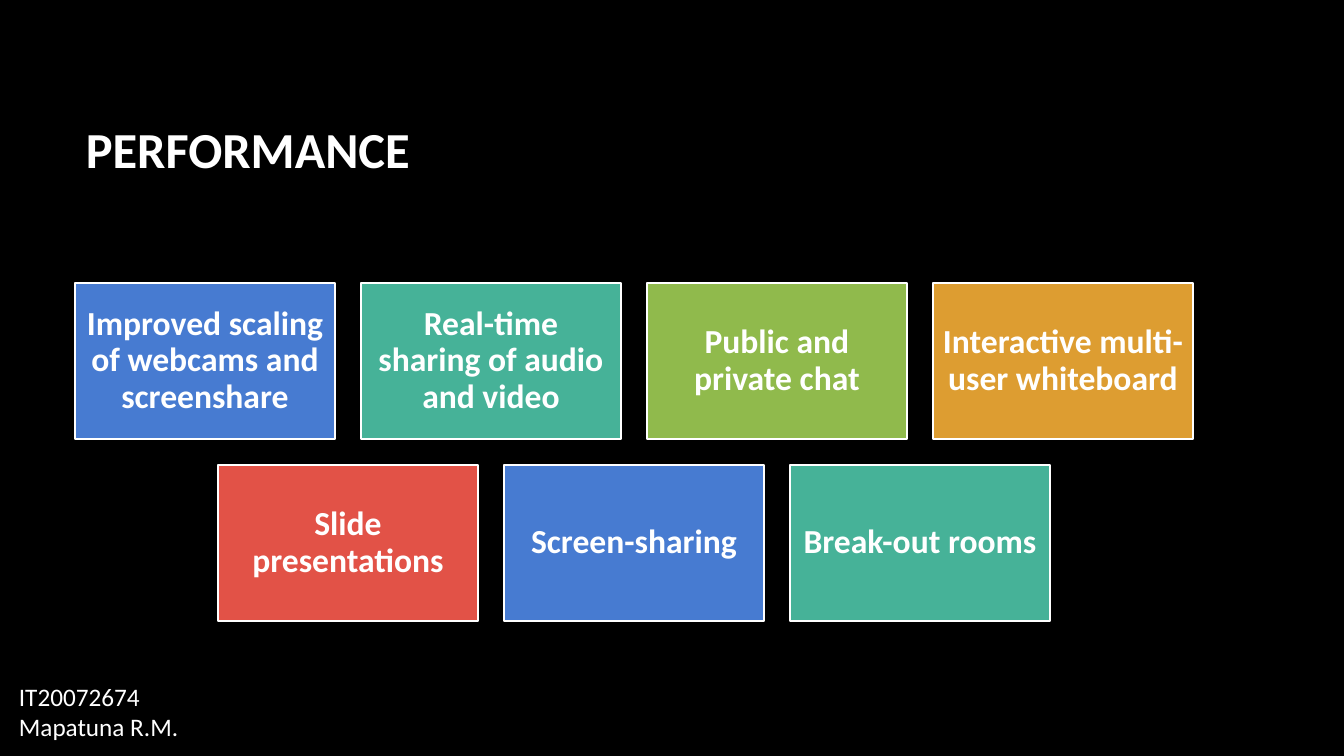
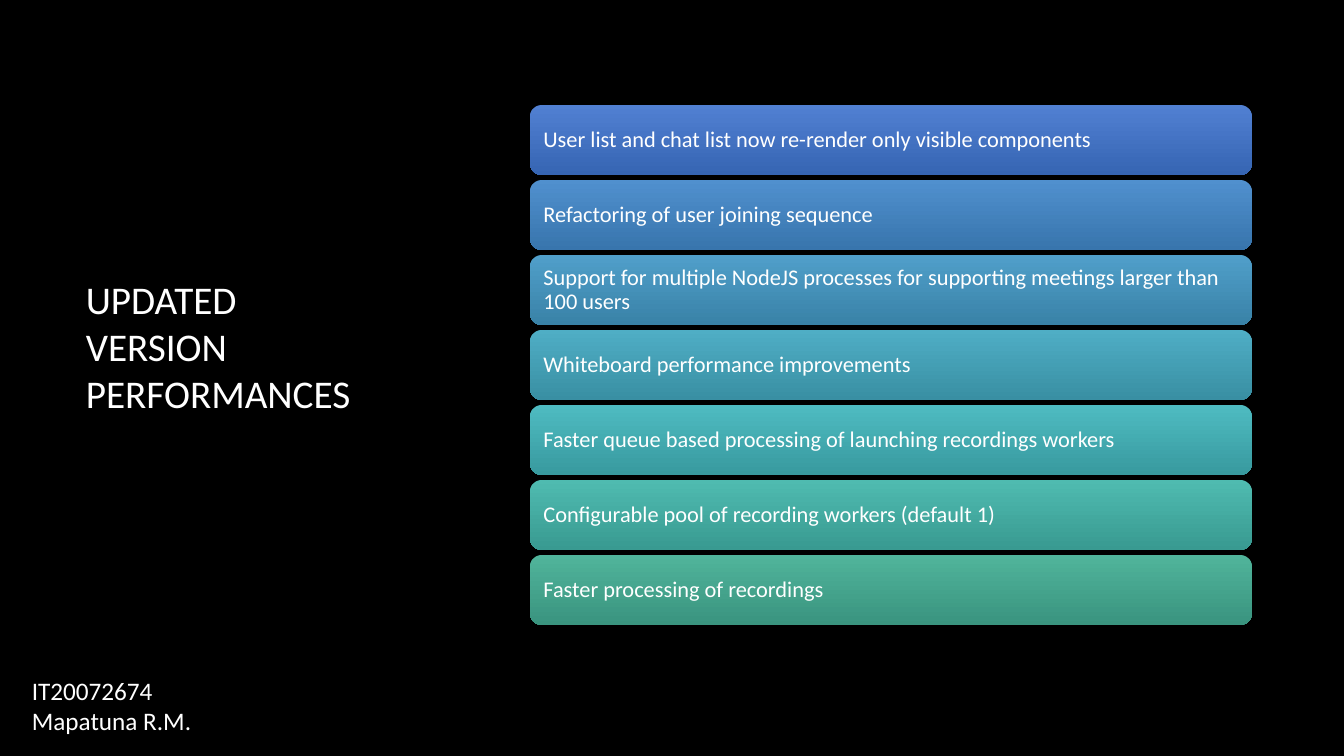
import pptx
import pptx.dml.color
import pptx.enum.shapes
import pptx.enum.text
import pptx.util

SHAPE = pptx.enum.shapes.MSO_SHAPE
ALIGN = pptx.enum.text.PP_ALIGN
ANCHOR = pptx.enum.text.MSO_ANCHOR

WIDTH, HEIGHT = 1344, 756
FONT = "Calibri"
COLORS = {
    "black": "000000",
    "white": "FFFFFF",
    "blue": "477BD1",
    "teal": "46B298",
    "green": "90BA4C",
    "orange": "DD9D31",
    "red": "E25247",
}
AUTHOR = "IT20072674\nMapatuna R.M."

CARD_ROWS = [
    [
        ("Improved scaling of webcams and screenshare", "blue"),
        ("Real-time sharing of audio and video", "teal"),
        ("Public and private chat", "green"),
        ("Interactive multi-user whiteboard", "orange"),
    ],
    [
        ("Slide presentations", "red"),
        ("Screen-sharing", "blue"),
        ("Break-out rooms", "teal"),
    ],
]
BARS = [
    ("User list and chat list now re-render only visible components", "5180D2", "3665B3"),
    ("Refactoring of user joining sequence", "5090CE", "3875AD"),
    ("Support for multiple NodeJS processes for supporting meetings larger than 100 users",
     "509FCA", "3982A7"),
    ("Whiteboard performance improvements", "4FAEC5", "398FA3"),
    ("Faster queue based processing of launching recordings workers", "4EBBC1", "389A9F"),
    ("Configurable pool of recording workers (default 1)", "4FBBB0", "399A91"),
    ("Faster processing of recordings", "50B49B", "3A947F"),
]


def px(n):
    return pptx.util.Emu(round(n * 914400 / 100.8))


def rgb(value):
    return pptx.dml.color.RGBColor.from_string(COLORS.get(value, value))


class Deck:
    def __init__(self):
        self.prs = pptx.Presentation()
        self.prs.slide_width, self.prs.slide_height = px(WIDTH), px(HEIGHT)
        self.s = None

    def slide(self):
        self.s = self.prs.slides.add_slide(self.prs.slide_layouts[6])
        fill = self.s.background.fill
        fill.solid()
        fill.fore_color.rgb = rgb("black")

    def set_text(self, sp, text, size, bold=False, align=ALIGN.LEFT,
                 anchor=ANCHOR.MIDDLE, spacing=1.0, inset=None):
        tf = sp.text_frame
        tf.word_wrap = True
        tf.vertical_anchor = anchor
        if inset is not None:
            tf.margin_left = tf.margin_right = px(inset)
            tf.margin_top = tf.margin_bottom = px(inset)
        p = tf.paragraphs[0]
        p.text = text
        p.alignment = align
        p.line_spacing = spacing
        p.font.name = FONT
        p.font.size = pptx.util.Pt(size)
        p.font.bold = bold
        p.font.color.rgb = rgb("white")

    def text(self, box, text, size, **style):
        self.set_text(self.s.shapes.add_textbox(*map(px, box)), text, size, **style)

    def title(self, box, text, size, bold=False):
        self.text(box, text, size, bold=bold)

    def author(self, left, top):
        self.text((left, top, 218, 72), AUTHOR, 18, anchor=ANCHOR.TOP)

    def shape(self, kind, box):
        sp = self.s.shapes.add_shape(kind, *map(px, box))
        sp.shadow.inherit = False
        return sp

    def card(self, box, text, color):
        sp = self.shape(SHAPE.RECTANGLE, box)
        sp.fill.solid()
        sp.fill.fore_color.rgb = rgb(color)
        sp.line.color.rgb = rgb("white")
        sp.line.width = pptx.util.Pt(1.5)
        self.set_text(sp, text, 24, bold=True, align=ALIGN.CENTER, spacing=0.9, inset=10)

    def bar(self, box, text, top_color, bottom_color):
        sp = self.shape(SHAPE.ROUNDED_RECTANGLE, box)
        sp.fill.gradient()
        sp.fill.gradient_angle = 270
        for stop, color in zip(sp.fill.gradient_stops, (top_color, bottom_color)):
            stop.color.rgb = rgb(color)
        sp.line.fill.background()
        self.set_text(sp, text, 16, spacing=0.9, inset=10)


def performance(deck):
    deck.slide()
    deck.title((76, 68, 1117, 160), "PERFORMANCE", 36, bold=True)
    left, top, width, height, gap = 75, 283, 260, 156, 26
    columns = len(CARD_ROWS[0])
    for i, row in enumerate(CARD_ROWS):
        indent = (columns - len(row)) * (width + gap) // 2
        for j, (text, color) in enumerate(row):
            x = left + indent + j * (width + gap)
            y = top + i * (height + gap)
            deck.card((x, y, width, height), text, color)
    deck.author(9, 676)


def updated_performances(deck):
    deck.slide()
    deck.title((76, 71, 285, 550), "UPDATED VERSION PERFORMANCES", 28)
    for i, bar in enumerate(BARS):
        deck.bar((530, 105 + i * 75, 722, 70), *bar)
    deck.author(22, 670)


def main():
    deck = Deck()
    performance(deck)
    updated_performances(deck)
    deck.prs.save("out.pptx")


if __name__ == "__main__":
    main()
